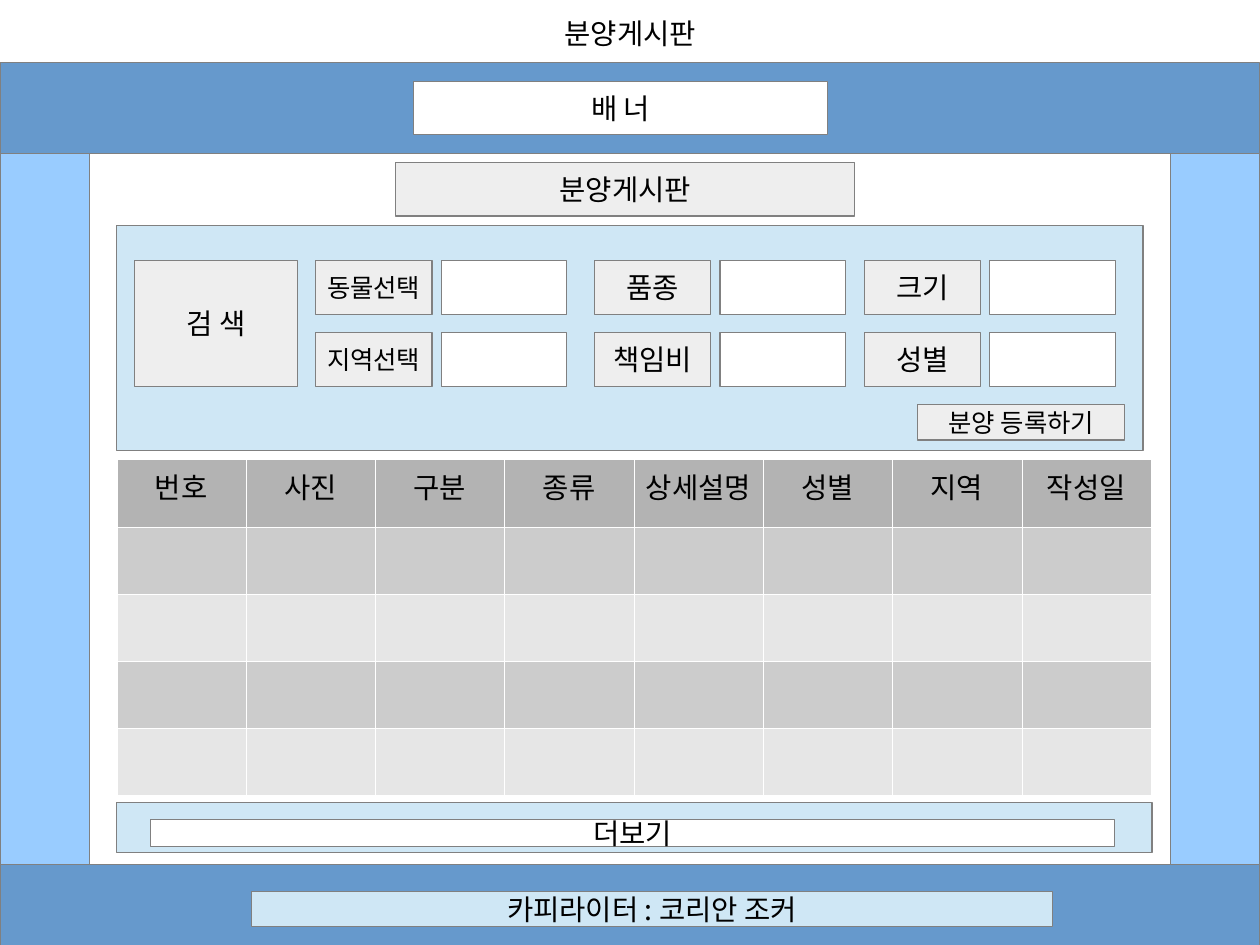
from dataclasses import dataclass

from lxml import etree
from pptx import Presentation
from pptx import util as u
from pptx.dml.color import RGBColor
from pptx.enum import shapes, text
from pptx.oxml import ns


@dataclass(frozen=True)
class Theme:
    font: str = "Noto Sans CJK KR"
    size: int = 18
    small: int = 16
    ink: str = "000000"
    white: str = "FFFFFF"
    outline: str = "808080"
    band: str = "6699CC"
    side: str = "99CCFF"
    panel: str = "CFE7F5"
    button: str = "EEEEEE"
    header: str = "B3B3B3"
    stripes: tuple = ("CCCCCC", "E6E6E6")
    border: float = 0.06


THEME = Theme()
COLUMNS = ["번호", "사진", "구분", "종류", "상세설명", "성별", "지역", "작성일"]
BODY_ROWS = 4

# Each filter group: label left, field left, type size, labels from top to bottom
FILTERS = [
    (2.76, 3.86, THEME.small, ["동물선택", "지역선택"]),
    (5.2, 6.3, THEME.size, ["품종", "책임비"]),
    (7.56, 8.66, THEME.size, ["크기", "성별"]),
]


def paint(fill, color):
    fill.solid()
    fill.fore_color.rgb = RGBColor.from_string(color)


def write(frame, words, size=THEME.size):
    """Put one centred line of text in a frame."""
    para = frame.paragraphs[0]
    para.alignment = text.PP_ALIGN.CENTER
    span = para.add_run()
    span.text = words
    formats = {"name": THEME.font, "size": u.Pt(size), "bold": False}
    for key, value in formats.items():
        setattr(span.font, key, value)
    span.font.color.rgb = RGBColor.from_string(THEME.ink)
    # Korean letters take the East Asian typeface
    east_asian = etree.SubElement(span.font._element, ns.qn("a:ea"))
    east_asian.set("typeface", THEME.font)


def add_box(page, left, top, width, height, color, words="", size=THEME.size):
    box = page.shapes.add_shape(
        shapes.MSO_SHAPE.RECTANGLE,
        *map(u.Inches, (left, top, width, height)))
    box.shadow.inherit = False
    paint(box.fill, color)
    paint(box.line.fill, THEME.outline)
    box.line.width = u.Pt(0)
    if words:
        box.text_frame.vertical_anchor = text.MSO_ANCHOR.MIDDLE
        write(box.text_frame, words, size)
    return box


def add_title(page, words):
    title = page.shapes.title
    place = {"left": 4.02, "top": 0.09, "width": 2.99, "height": 0.46}
    for key, value in place.items():
        setattr(title, key, u.Inches(value))
    formats = {"vertical_anchor": text.MSO_ANCHOR.TOP, "word_wrap": True,
               "auto_size": text.MSO_AUTO_SIZE.SHAPE_TO_FIT_TEXT}
    for key, value in formats.items():
        setattr(title.text_frame, key, value)
    write(title.text_frame, words)


def add_borders(cell):
    properties = cell._tc.get_or_add_tcPr()
    for side in ("lnL", "lnR", "lnT", "lnB"):
        line = etree.SubElement(properties, ns.qn(f"a:{side}"),
                                w=str(u.Pt(THEME.border)))
        fill = etree.SubElement(line, ns.qn("a:solidFill"))
        etree.SubElement(fill, ns.qn("a:srgbClr"), val=THEME.white)


def add_listing(page):
    rows = BODY_ROWS + 1
    table = page.shapes.add_table(
        rows, len(COLUMNS),
        *map(u.Inches, (1.02, 4.02, 9.05, 2.94))).table
    for row in range(rows):
        color = THEME.stripes[(row - 1) % 2] if row else THEME.header
        for column, heading in enumerate(COLUMNS):
            cell = table.cell(row, column)
            add_borders(cell)
            paint(cell.fill, color)
            if row == 0:
                write(cell.text_frame, heading)


def add_search(page):
    add_box(page, 1.02, 1.97, 8.98, 1.97, THEME.panel)
    add_box(page, 1.18, 2.28, 1.42, 1.1, THEME.button, "검 색")
    for label_left, field_left, size, labels in FILTERS:
        for row, label in enumerate(labels):
            top = 2.28 + 0.63 * row
            add_box(page, label_left, top, 1.02, 0.47, THEME.button, label, size)
            add_box(page, field_left, top, 1.1, 0.47, THEME.white)
    add_box(page, 8.03, 3.54, 1.81, 0.31, THEME.button,
            "분양 등록하기", THEME.small)


def main():
    deck = Presentation()
    # The page is a metric format, 28 by 21 cm
    deck.slide_width, deck.slide_height = u.Cm(28), u.Cm(21)
    page = deck.slides.add_slide(deck.slide_layouts.get_by_name("Title Only"))
    add_title(page, "분양게시판")

    # Page frame: top band, side panels, bottom band
    add_box(page, 0, 0.55, 11.02, 0.79, THEME.band)
    for left in (0, 10.24):
        add_box(page, left, 1.34, 0.78, 6.22, THEME.side)
    add_box(page, 0, 7.56, 11.02, 0.71, THEME.band)

    # Banner, board heading and footer
    add_box(page, 3.62, 0.71, 3.62, 0.47, THEME.white, "배 너")
    add_box(page, 3.46, 1.42, 4.02, 0.47, THEME.button, "분양게시판")
    add_box(page, 2.2, 7.8, 7.01, 0.31, THEME.panel, "카피라이터 : 코리안 조커")

    # Board content
    add_search(page)
    add_listing(page)
    add_box(page, 1.02, 7.02, 9.06, 0.44, THEME.panel)
    add_box(page, 1.32, 7.17, 8.43, 0.24, THEME.white, "더보기")

    deck.save("out.pptx")


if __name__ == "__main__":
    main()
